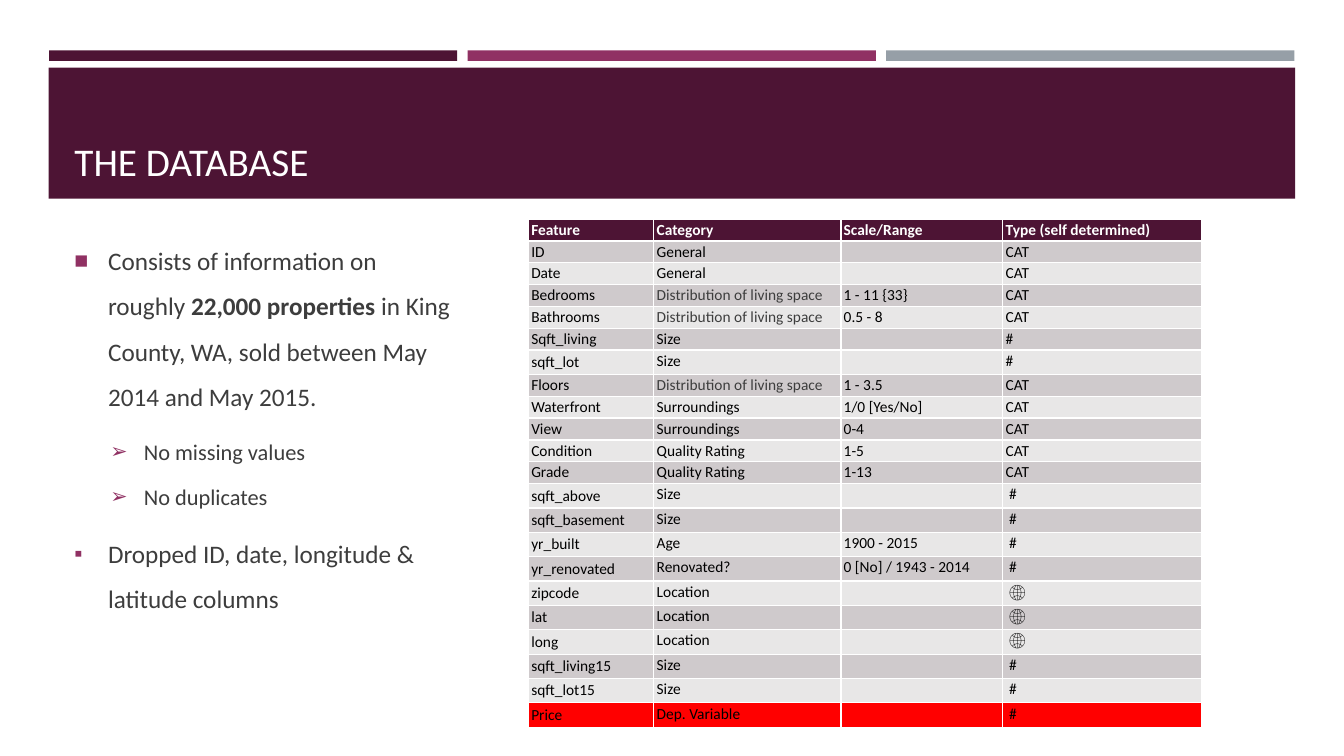
from lxml import etree
from pptx import Presentation
from pptx import util as u
from pptx.dml.color import RGBColor
from pptx.enum import shapes, text
from pptx.oxml import ns

Pt = u.Pt
PLUM = RGBColor(0x4D, 0x14, 0x34)
BERRY = RGBColor(0x90, 0x31, 0x63)
STEEL = RGBColor(0x96, 0x9F, 0xA7)
WHITE = RGBColor(0xFF, 0xFF, 0xFF)
BLACK = RGBColor(0, 0, 0)
GREY = RGBColor(0x3D, 0x3D, 0x3D)
DARK = RGBColor(0xCF, 0xCA, 0xCC)
LIGHT = RGBColor(0xE8, 0xE7, 0xE7)
RED = RGBColor(0xFF, 0, 0)

SPACE = "Distribution of living space"
HEAD = ("Feature", "Category", "Scale/Range", "Type (self determined)")
ROWS = [
    ("ID", "General", "", "CAT"),
    ("Date", "General", "", "CAT"),
    ("Bedrooms", SPACE, "1 - 11 {33}", "CAT"),
    ("Bathrooms", SPACE, "0.5 - 8", "CAT"),
    ("Sqft_living", "Size", "", "#"),
    ("sqft_lot", "Size", "", "#"),
    ("Floors", SPACE, "1 - 3.5", "CAT"),
    ("Waterfront", "Surroundings", "1/0 [Yes/No]", "CAT"),
    ("View", "Surroundings", "0-4", "CAT"),
    ("Condition", "Quality Rating", "1-5", "CAT"),
    ("Grade", "Quality Rating", "1-13", "CAT"),
    ("sqft_above", "Size", "", "#"),
    ("sqft_basement", "Size", "", "#"),
    ("yr_built", "Age", "1900 - 2015", "#"),
    ("yr_renovated", "Renovated?", "0 [No] / 1943 - 2014", "#"),
    ("zipcode", "Location", "", "🌐"),
    ("lat", "Location", "", "🌐"),
    ("long", "Location", "", "🌐"),
    ("sqft_living15", "Size", "", "#"),
    ("sqft_lot15", "Size", "", "#"),
    ("Price", "Dep. Variable", "", "#"),
]
LOT, TALL = 6, 12  # the sqft_lot row, and the first of the taller rows

# Level, bullet, size, space before, space after, runs as (text, bold)
LIST = [
    (0, "■", 18, 0, 6, [("Consists of information on roughly ", False),
                        ("22,000 properties ", True),
                        ("in King County, WA, sold between May 2014 and May 2015.", False)]),
    (1, "➢", 16, 3.2, 0, [("No missing values", False)]),
    (1, "➢", 16, 3.2, 6, [("No duplicates", False)]),
    (0, "▪", 18, 3.6, 6, [("Dropped ID, date, longitude & latitude columns", False)]),
]


def node(top, tag, **atts):
    return etree.SubElement(top, ns.qn(tag), **atts)


class Deck:
    font = "Calibri"

    def __init__(self):
        self.prs = Presentation()
        self.prs.slide_width, self.prs.slide_height = Pt(960), Pt(540)
        self.slide = self.prs.slides.add_slide(self.prs.slide_layouts[1])

    def place(self, shape, box):
        shape.left, shape.top, shape.width, shape.height = map(Pt, box)

    def run(self, para, words, size, color, bold=False):
        run = para.add_run()
        run.text = words
        font = run.font
        font.name, font.size, font.bold = self.font, Pt(size), bold
        font.color.rgb = color

    def bar(self, box, color):
        bar = self.slide.shapes.add_shape(shapes.MSO_SHAPE.RECTANGLE, *map(Pt, box))
        bar.shadow.inherit = False
        bar.fill.solid()
        bar.fill.fore_color.rgb = color
        bar.line.fill.background()
        # Bars lie behind the placeholders
        self.slide.shapes._spTree.insert(2, bar._element)

    def title(self, words, box):
        title = self.slide.shapes.title
        self.place(title, box)
        frame = title.text_frame
        frame.auto_size = text.MSO_AUTO_SIZE.NONE
        frame.vertical_anchor = text.MSO_ANCHOR.BOTTOM
        para = frame.paragraphs[0]
        para.alignment = text.PP_ALIGN.LEFT
        self.run(para, words, 28, WHITE)

    def bullet(self, para, mark, left, hang):
        props = para._p.get_or_add_pPr()
        props.set("marL", str(Pt(left)))
        props.set("indent", str(-Pt(hang)))
        node(node(props, "a:buClr"), "a:srgbClr", val=str(BERRY))
        node(props, "a:buSzPct", val="92000")
        node(props, "a:buChar", char=mark)

    def body(self, items, box):
        body = self.slide.placeholders[1]
        self.place(body, box)
        frame = body.text_frame
        frame.auto_size = text.MSO_AUTO_SIZE.NONE
        frame.vertical_anchor = text.MSO_ANCHOR.MIDDLE
        frame.margin_bottom = Pt(33)
        for i, (level, mark, size, above, below, runs) in enumerate(items):
            para = frame.add_paragraph() if i else frame.paragraphs[0]
            para.level = level
            self.bullet(para, mark, 24 + 25.6 * level, 24)
            para.line_spacing = 1.5
            para.space_before, para.space_after = Pt(above), Pt(below)
            for words, bold in runs:
                self.run(para, words, size, GREY, bold)

    def cell(self, cell, words, fill, color, bold, left, edge):
        cell.margin_left, cell.margin_right = Pt(left), Pt(2)
        cell.margin_top = cell.margin_bottom = Pt(edge)
        para = cell.text_frame.paragraphs[0]
        if words:
            self.run(para, words, 11, color, bold)
        else:
            node(para._p, "a:endParaRPr", sz="1100")
        # White borders come before the fill
        props = cell._tc.get_or_add_tcPr()
        for side in ("L", "R", "T", "B"):
            line = node(props, "a:ln" + side, w=str(Pt(1)))
            node(node(line, "a:solidFill"), "a:srgbClr", val=str(WHITE))
        cell.fill.solid()
        cell.fill.fore_color.rgb = fill

    def table(self, rows, left, top, wide, high):
        frame = self.slide.shapes.add_table(
            len(rows), len(wide), Pt(left), Pt(top), Pt(sum(wide)), Pt(sum(high)))
        grid = frame.table
        for col, width in zip(grid.columns, wide):
            col.width = Pt(width)
        for r, row in enumerate(rows):
            grid.rows[r].height = Pt(high[r])
            fill = DARK if r % 2 else LIGHT
            if r == 0:
                fill = PLUM
            elif r == len(rows) - 1:
                fill = RED
            for c, words in enumerate(row):
                color = WHITE if r == 0 else GREY if words == SPACE else BLACK
                inset = 4.5 if c == 3 and r >= TALL else 2
                edge = 1.9 if c == 0 and (r >= TALL or r == LOT) else 1
                self.cell(grid.cell(r, c), words, fill, color, r == 0, inset, edge)


def main():
    deck = Deck()
    # Header band and the three strips above it
    deck.bar((34.8, 48.4, 890.4, 93.6), PLUM)
    for i, color in enumerate((PLUM, BERRY, STEEL)):
        deck.bar((35 + 299 * i, 36, 291.6, 7.6), color)
    # Title and list
    deck.title("THE DATABASE", (46, 55.4, 868, 80))
    deck.body(LIST, (46, 171.4, 283, 289.4))
    # Feature table
    high = [15.45] * TALL + [17.25] * (len(ROWS) + 1 - TALL)
    high[LOT] = 16.6
    deck.table([HEAD] + ROWS, 377.5, 156.5, (89.6, 133.6, 115.7, 141.9), high)
    deck.prs.save("out.pptx")


if __name__ == "__main__":
    main()
